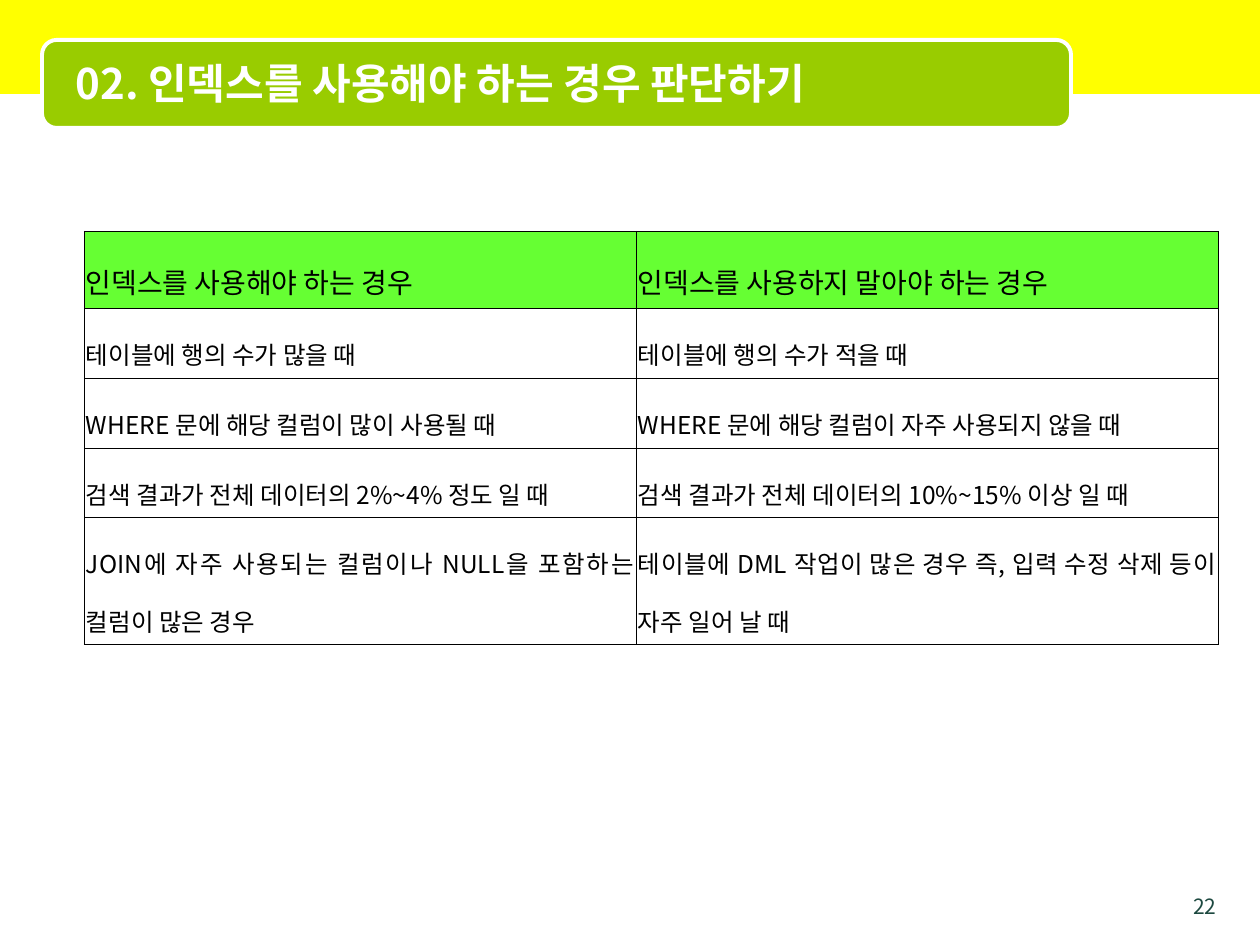
from dataclasses import dataclass

from lxml.etree import SubElement
from pptx import Presentation
from pptx.dml.color import RGBColor
from pptx.enum.shapes import MSO_SHAPE
from pptx.enum.text import MSO_ANCHOR, MSO_AUTO_SIZE, PP_ALIGN
from pptx.oxml.ns import qn
from pptx.util import Emu, Pt

PX_PER_INCH = 126


@dataclass(frozen=True)
class Theme:
    font: str = "Noto Sans CJK KR"
    band: str = "FFFF00"
    banner: str = "99CC00"
    white: str = "FFFFFF"
    header: str = "66FF33"
    ink: str = "000000"
    page_number: str = "1D4940"
    title_size: int = 24
    header_size: int = 16
    body_size: int = 14
    number_size: int = 12
    banner_line: float = 2.25
    border_line: float = 0.11
    line_spacing: float = 1.6


THEME = Theme()

CASES = [
    ("인덱스를 사용해야 하는 경우", "인덱스를 사용하지 말아야 하는 경우"),
    ("테이블에 행의 수가 많을 때", "테이블에 행의 수가 적을 때"),
    ("WHERE 문에 해당 컬럼이 많이 사용될 때",
     "WHERE 문에 해당 컬럼이 자주 사용되지 않을 때"),
    ("검색 결과가 전체 데이터의 2%~4% 정도 일 때",
     "검색 결과가 전체 데이터의 10%~15% 이상 일 때"),
    ("JOIN에 자주 사용되는 컬럼이나 NULL을 포함하는 컬럼이 많은 경우",
     "테이블에 DML 작업이 많은 경우 즉, 입력 수정 삭제 등이 자주 일어 날 때"),
]
COLUMN_WIDTHS = (552, 582)
ROW_HEIGHTS = (60, 53, 57, 57, 110)


def px(length):
    return Emu(round(length * 914400 / PX_PER_INCH))


def rgb(code):
    return RGBColor.from_string(code)


def write(frame, text, size, color, align, bold=False):
    frame.text = text
    paragraph = frame.paragraphs[0]
    paragraph.alignment = align
    for run in paragraph.runs:
        run.font.name = THEME.font
        run.font.size = Pt(size)
        run.font.bold = bold
        run.font.color.rgb = rgb(color)
        # East Asian letters take their own typeface element
        SubElement(run.font._element, qn("a:ea"), typeface=THEME.font)
    return paragraph


def add_panel(slide, preset, box, fill, line=None):
    panel = slide.shapes.add_shape(preset, *map(px, box))
    panel.shadow.inherit = False
    panel.fill.solid()
    panel.fill.fore_color.rgb = rgb(fill)
    if line:
        panel.line.color.rgb = rgb(line)
        panel.line.width = Pt(THEME.banner_line)
    else:
        panel.line.fill.background()


def set_title(slide, text, box):
    title = slide.shapes.title
    title.left, title.top, title.width, title.height = map(px, box)
    frame = title.text_frame
    write(frame, text, THEME.title_size, THEME.white, PP_ALIGN.LEFT, bold=True)
    frame.auto_size = MSO_AUTO_SIZE.NONE
    frame.vertical_anchor = MSO_ANCHOR.MIDDLE
    # Bring the title in front of its banner
    slide.shapes.element.append(title.element)


def add_page_number(slide, number, box):
    frame = slide.shapes.add_textbox(*map(px, box)).text_frame
    frame.word_wrap = True
    write(frame, number, THEME.number_size, THEME.page_number, PP_ALIGN.RIGHT)


def set_borders(cell):
    properties = cell._tc.get_or_add_tcPr()
    for position, side in enumerate(("lnL", "lnR", "lnT", "lnB")):
        border = properties.makeelement(
            qn(f"a:{side}"), {"w": str(Pt(THEME.border_line))})
        fill = SubElement(border, qn("a:solidFill"))
        SubElement(fill, qn("a:srgbClr"), val=THEME.ink)
        properties.insert(position, border)


def format_cell(cell, text, is_header):
    size = THEME.header_size if is_header else THEME.body_size
    paragraph = write(cell.text_frame, text, size, THEME.ink, PP_ALIGN.JUSTIFY)
    paragraph.line_spacing = THEME.line_spacing
    cell.vertical_anchor = MSO_ANCHOR.MIDDLE
    cell.margin_left = cell.margin_right = px(2)
    if is_header:
        cell.fill.solid()
        cell.fill.fore_color.rgb = rgb(THEME.header)
    else:
        cell.fill.background()
    set_borders(cell)


def add_case_table(slide, left, top):
    box = (left, top, sum(COLUMN_WIDTHS), sum(ROW_HEIGHTS))
    table = slide.shapes.add_table(
        len(CASES), len(COLUMN_WIDTHS), *map(px, box)).table
    table.horz_banding = False
    for column, width in zip(table.columns, COLUMN_WIDTHS):
        column.width = px(width)
    for row_index, (row, height) in enumerate(zip(table.rows, ROW_HEIGHTS)):
        row.height = px(height)
        for cell, text in zip(row.cells, CASES[row_index]):
            format_cell(cell, text, is_header=row_index == 0)


def main():
    deck = Presentation()
    deck.slide_width, deck.slide_height = px(1260), px(945)
    slide = deck.slides.add_slide(deck.slide_layouts[5])

    # Header band and title banner
    add_panel(slide, MSO_SHAPE.RECTANGLE, (0, 0, 1261, 94), THEME.band)
    add_panel(slide, MSO_SHAPE.ROUNDED_RECTANGLE, (42, 40, 1029, 88),
              THEME.banner, THEME.white)
    set_title(slide, "02. 인덱스를 사용해야 하는 경우 판단하기", (63, 44, 998, 78))

    # Comparison of cases
    add_case_table(slide, 84, 231)

    # Footer
    add_page_number(slide, "22", (1166, 887, 63, 26))

    deck.save("out.pptx")


if __name__ == "__main__":
    main()
